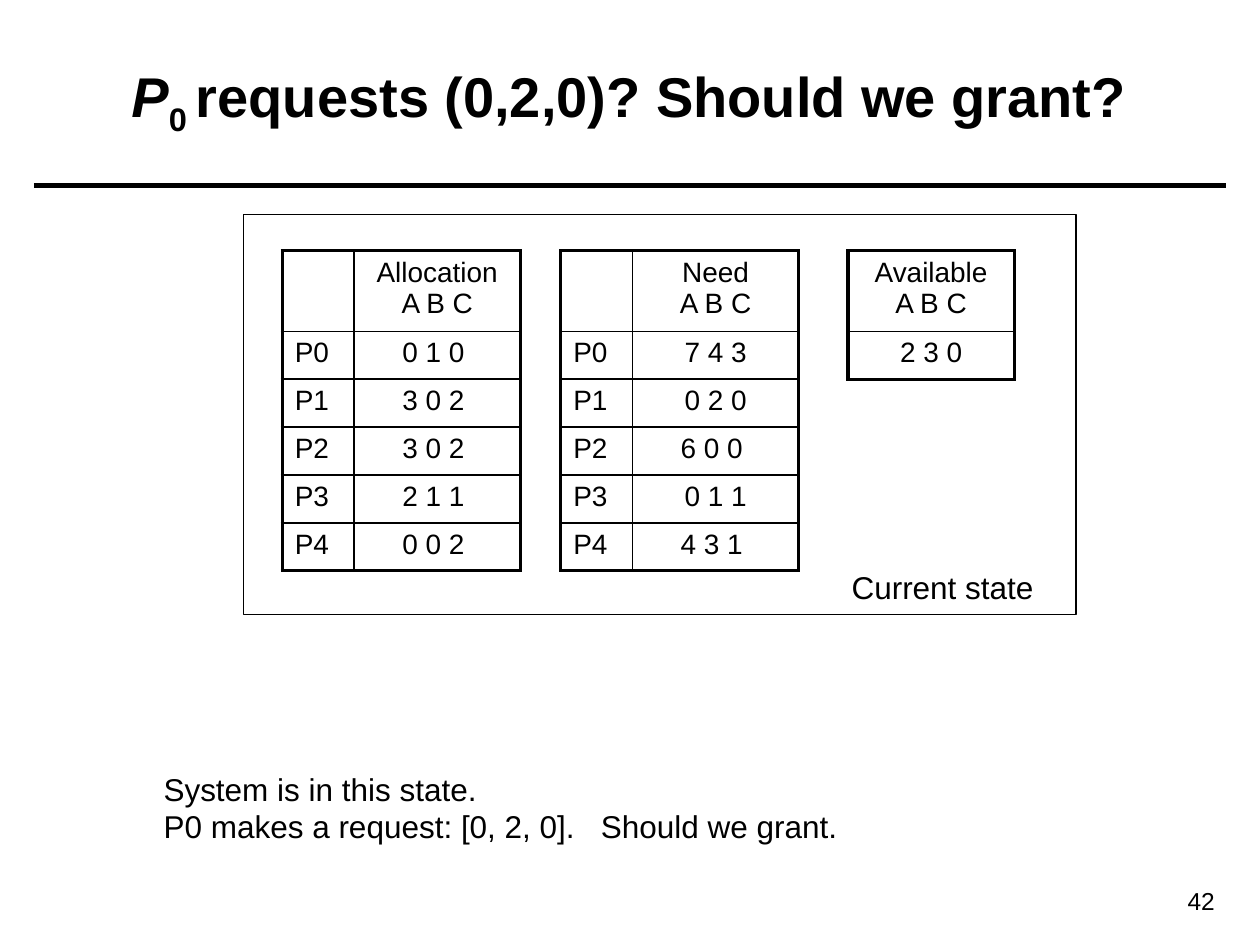
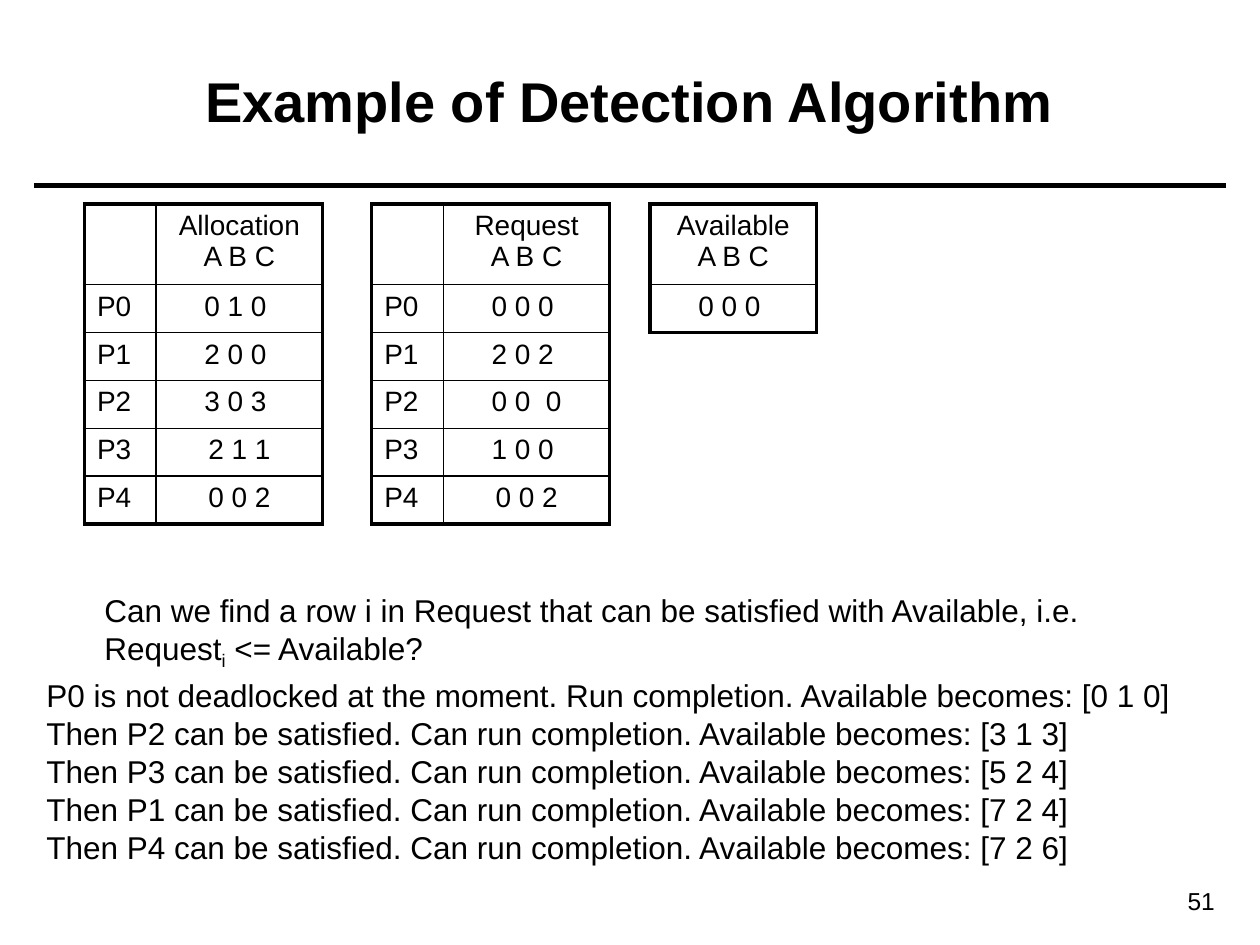
from lxml import etree
from pptx import Presentation
from pptx.dml.color import RGBColor
from pptx.enum.shapes import MSO_CONNECTOR, MSO_SHAPE
from pptx.enum.text import MSO_ANCHOR, PP_ALIGN
from pptx.oxml.ns import qn
from pptx.util import Inches, Pt

LEFT, CENTER, RIGHT = PP_ALIGN.LEFT, PP_ALIGN.CENTER, PP_ALIGN.RIGHT
TOP, MIDDLE = MSO_ANCHOR.TOP, MSO_ANCHOR.MIDDLE
LINE, RECTANGLE = MSO_CONNECTOR.STRAIGHT, MSO_SHAPE.RECTANGLE

FONT, BLACK = "Arial", "000000"
TITLE_SIZE, BODY_SIZE, TABLE_SIZE, NUMBER_SIZE = 32, 18, 16, 14
THICK, THIN = 2.25, 1
LABEL_WIDTH, VALUE_WIDTH = 0.57, 1.32
HEADER_HEIGHT, ROW_HEIGHT = 0.64, 0.38
SUBSCRIPT = {"sub": True}


def color(hex_code):
    return RGBColor.from_string(hex_code)


class Deck:
    def __init__(self):
        self.prs = Presentation()
        self.prs.slide_width, self.prs.slide_height = Inches(10), Inches(7.5)
        self.slide = None

    def new_slide(self, title, number):
        self.slide = self.prs.slides.add_slide(self.prs.slide_layouts[6])
        self.rule(0.27, 9.73, 1.47)
        self.text(0.35, 0.17, 9.29, 1.25, [title], TITLE_SIZE, CENTER, MIDDLE, bold=True)
        self.text(8.7, 6.98, 1.04, 0.34, [str(number)], NUMBER_SIZE, RIGHT)

    def rule(self, x1, x2, y):
        line = self.slide.shapes.add_connector(
            LINE, Inches(x1), Inches(y), Inches(x2), Inches(y))
        line.line.color.rgb = color(BLACK)
        line.line.width = Pt(3)
        etree.SubElement(line._element.spPr, qn("a:effectLst"))

    def frame(self, x, y, w, h):
        s = self.slide.shapes.add_shape(
            RECTANGLE, Inches(x), Inches(y), Inches(w), Inches(h))
        s.shadow.inherit = False
        s.fill.background()
        s.line.color.rgb = color(BLACK)
        s.line.width = Pt(0.75)

    def runs(self, p, content, size, bold=False):
        """Fill a paragraph from a string or from (text, style) pairs."""
        pairs = [(content, {})] if isinstance(content, str) else content
        for text, style in pairs:
            for i, part in enumerate(text.split("\n")):
                if i:
                    p.add_line_break()
                r = p.add_run()
                r.text = part
                r.font.name, r.font.size = FONT, Pt(size)
                r.font.bold, r.font.italic = bold, style.get("italic", False)
                r.font.color.rgb = color(BLACK)
                if style.get("sub"):
                    r._r.get_or_add_rPr().set("baseline", "-25000")

    def text(self, x, y, w, h, paragraphs, size=BODY_SIZE, align=LEFT,
             anchor=TOP, bold=False, tab=None):
        box = self.slide.shapes.add_textbox(Inches(x), Inches(y), Inches(w), Inches(h))
        tf = box.text_frame
        tf.word_wrap = True
        tf.vertical_anchor = anchor
        for i, content in enumerate(paragraphs):
            p = tf.add_paragraph() if i else tf.paragraphs[0]
            p.alignment = align
            if tab:
                tabs = etree.SubElement(p._p.get_or_add_pPr(), qn("a:tabLst"))
                etree.SubElement(tabs, qn("a:tab"), pos=str(Inches(tab)), algn="l")
            self.runs(p, content, size, bold)

    def borders(self, cell, widths):
        """Draw the left, right, top and bottom borders, widths in points."""
        tc_pr = cell._tc.get_or_add_tcPr()
        for side, width in zip("LRTB", widths):
            ln = etree.SubElement(tc_pr, qn(f"a:ln{side}"), w=str(Pt(width)))
            fill = etree.SubElement(ln, qn("a:solidFill"))
            etree.SubElement(fill, qn("a:srgbClr"), val=BLACK)

    def matrix(self, x, y, heading, values, labelled=True):
        """Table of resource counts, with process labels unless labelled is False."""
        rows = [["", f"{heading}\nA B C"]]
        rows += [[f"P{i}", value] for i, value in enumerate(values)]
        widths = [LABEL_WIDTH, VALUE_WIDTH]
        if not labelled:
            rows, widths = [row[1:] for row in rows], widths[1:]
        heights = [HEADER_HEIGHT] + [ROW_HEIGHT] * len(values)
        table = self.slide.shapes.add_table(
            len(rows), len(widths), Inches(x), Inches(y),
            Inches(sum(widths)), Inches(sum(heights))).table
        table.first_row = table.horz_banding = False
        for column, width in zip(table.columns, widths):
            column.width = Inches(width)
        last_row, last_col = len(rows) - 1, len(widths) - 1
        for i, row in enumerate(rows):
            table.rows[i].height = Inches(heights[i])
            for j, content in enumerate(row):
                cell = table.cell(i, j)
                outer = (j == 0, j == last_col, i == 0, i == last_row)
                self.borders(cell, [THICK if edge else THIN for edge in outer])
                cell.fill.background()
                p = cell.text_frame.paragraphs[0]
                p.alignment = CENTER if j == last_col else LEFT
                if content:
                    self.runs(p, content, TABLE_SIZE)


def request_slide(deck):
    deck.new_slide([("P", {"italic": True}), ("0 ", SUBSCRIPT),
                    ("requests (0,2,0)? Should we grant?", {})], 42)
    top = 1.99
    deck.matrix(2.24, top, "Allocation", ["0 1 0 ", "3 0 2 ", "3 0 2 ", "2 1 1 ", "0 0 2 "])
    deck.matrix(4.45, top, "Need", ["7 4 3", "0 2 0", "6 0 0 ", "0 1 1", "4 3 1 "])
    deck.matrix(6.73, top, "Available", ["2 3 0"], labelled=False)
    deck.frame(1.93, 1.7, 6.61, 3.18)
    deck.text(6.66, 4.46, 1.75, 0.4, ["Current state"])
    deck.text(1.2, 6.06, 5.8, 0.7, ["System is in this state.",
                                    "P0 makes a request: [0, 2, 0].\tShould we grant."], tab=3.47)


def detection_slide(deck):
    deck.new_slide("Example of Detection Algorithm", 51)
    top = 1.62
    deck.matrix(0.67, top, "Allocation", ["0 1 0 ", "2 0 0 ", "3 0 3 ", "2 1 1", "0 0 2"])
    deck.matrix(2.95, top, "Request", ["0 0 0 ", "2 0 2 ", "0 0  0", "1 0 0 ", "0 0 2"])
    deck.matrix(5.16, top, "Available", ["0 0 0 "], labelled=False)
    deck.text(0.73, 4.64, 8.1, 0.7, [[
        ("Can we find a row i in Request that can be satisfied with Available, i.e. \nRequest", {}),
        ("i", SUBSCRIPT), (" <= Available?", {})]])
    steps = [("P2", "3 1 3"), ("P3", "5 2 4"), ("P1", "7 2 4"), ("P4", "7 2 6")]
    deck.text(0.27, 5.32, 9.3, 1.9, [
        "P0 is not deadlocked at the moment. Run completion. Available becomes: [0 1 0]",
        *(f"Then {process} can be satisfied. Can run completion. Available becomes: [{available}]"
          for process, available in steps)])


def main():
    deck = Deck()
    request_slide(deck)
    detection_slide(deck)
    deck.prs.save("out.pptx")


if __name__ == "__main__":
    main()
